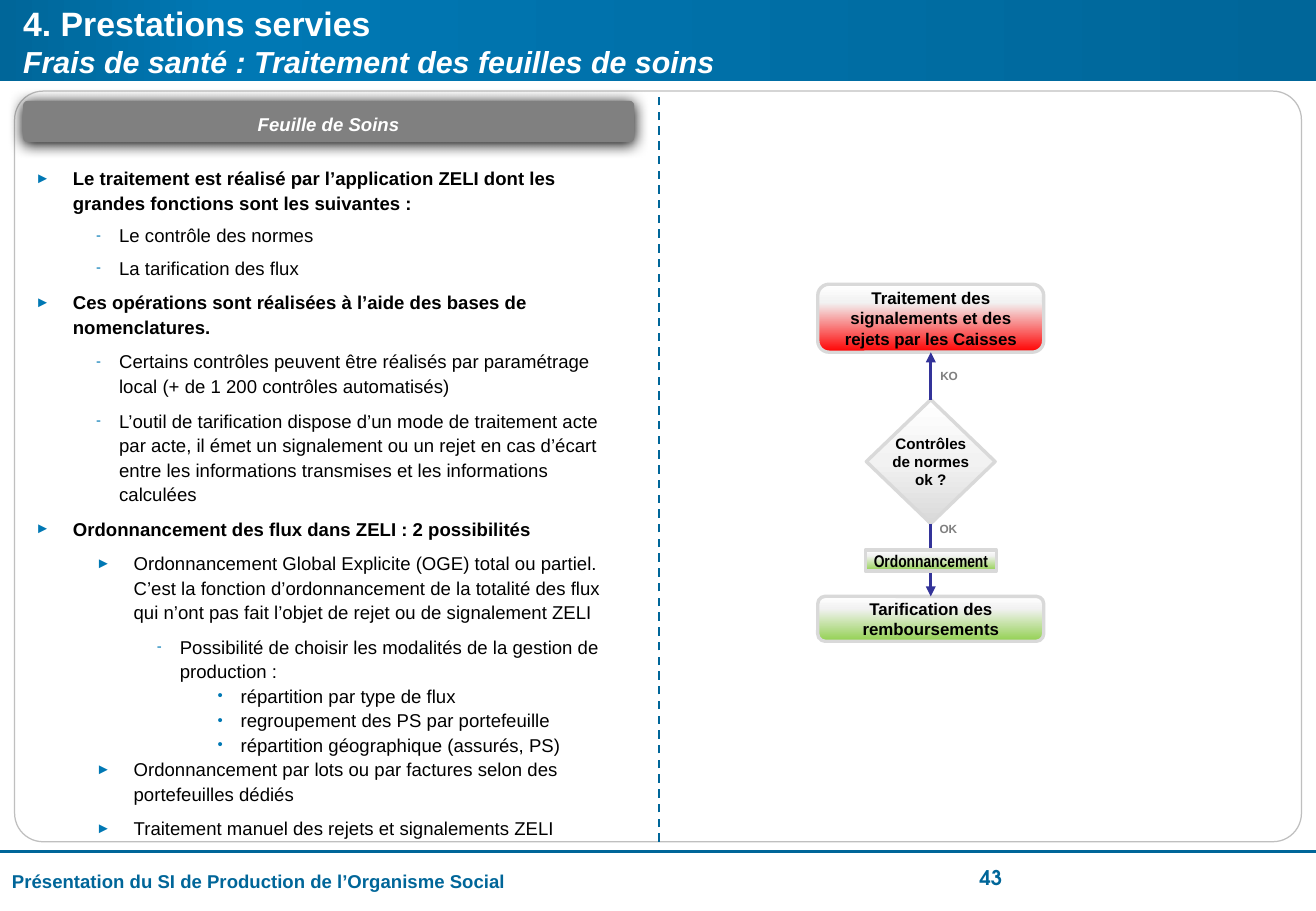
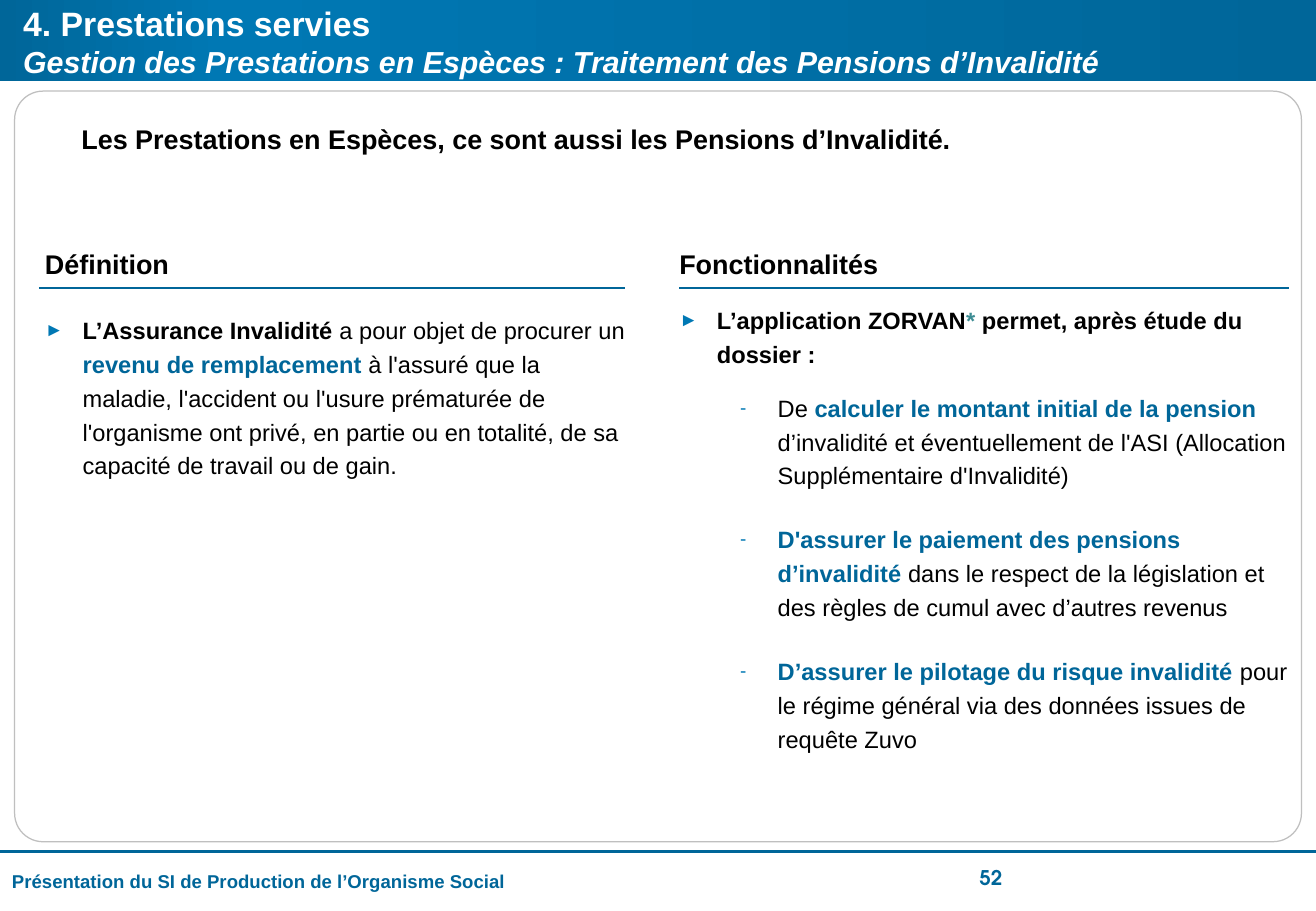
from lxml.etree import SubElement
from pptx import Presentation
from pptx.dml.color import RGBColor
from pptx.enum.dml import MSO_LINE
from pptx.enum.shapes import MSO_CONNECTOR, MSO_SHAPE
from pptx.enum.text import MSO_ANCHOR, MSO_AUTO_SIZE, PP_ALIGN
from pptx.oxml.ns import qn
from pptx.util import Emu, Pt

PX = 9144  # EMU per px, 100 px to the inch
WIDTH, HEIGHT = 1083, 750

BLUE = RGBColor(0x00, 0x66, 0x99)
BRIGHT_BLUE = RGBColor(0x00, 0x78, 0xB4)
ARROW_BLUE = RGBColor(0x33, 0x33, 0x99)
TEAL = RGBColor(0x3C, 0x8C, 0x93)
RED = RGBColor(0xFF, 0x00, 0x00)
GREEN = RGBColor(0x92, 0xD0, 0x50)
WHITE = RGBColor(0xFF, 0xFF, 0xFF)
PALE = RGBColor(0xF2, 0xF2, 0xF2)
SILVER = RGBColor(0xD9, 0xD9, 0xD9)
FRAME_GREY = RGBColor(0xBF, 0xBF, 0xBF)
GREY = RGBColor(0x80, 0x80, 0x80)
LABEL_GREY = RGBColor(0x7F, 0x7F, 0x7F)
BLACK = RGBColor(0x00, 0x00, 0x00)

BAND = [(0, BLUE), (17, BRIGHT_BLUE), (100, BLUE)]
NEUTRAL = [(0, WHITE), (50, PALE), (100, SILVER)]
REJECTED = [(0, WHITE), (27, PALE), (100, RED)]
ACCEPTED = [(0, WHITE), (27, PALE), (100, GREEN)]

FOOTER = "Présentation du SI de Production de l’Organisme Social"
SECTION = "4. Prestations servies"

# Run formats inside a paragraph
PLAIN = dict(bold=False)
KEY = dict(bold=True, color=BLUE)

# List formats
POINT = dict(bullet="►", margin=31, hang=31, bold=True, after=6, spacing=1.1)
DASH = dict(bullet="-", level=1, margin=69, hang=19, after=6, spacing=1.1)
TIGHT_DASH = DASH | dict(spacing=1.0)
SUBPOINT = dict(bullet="►", level=1, margin=81, hang=31, after=6, spacing=1.1)
SUBDASH = dict(bullet="-", level=2, margin=119, hang=19, spacing=1.1)
DOT = dict(bullet="•", level=3, margin=169, hang=19, spacing=1.1)
HEADING = dict(size=16, bold=True, level=2, spacing=Pt(20), before=6, after=12)
TOPIC = HEADING | dict(size=14, bullet="►", margin=31, hang=31)
FUNCTION = TOPIC | dict(bullet="-", level=3, margin=81)


def write(frame, text, *, size=11, color=BLACK, bold=False, italic=False,
          font="Arial", align=PP_ALIGN.LEFT, level=0, spacing=1.0, before=0,
          after=0, bullet=None, margin=0, hang=0):
    """Add one paragraph; text is a string or a list of (string, run format)."""
    paragraph = frame.paragraphs[0]
    if paragraph.runs:
        paragraph = frame.add_paragraph()
    paragraph.alignment, paragraph.level = align, level
    paragraph.line_spacing = spacing
    paragraph.space_before, paragraph.space_after = Pt(before), Pt(after)

    properties = paragraph._p.get_or_add_pPr()
    properties.set("marL", str(margin * PX))
    properties.set("indent", str(-hang * PX))
    if bullet:
        tint = SubElement(properties, qn("a:buClr"))
        SubElement(tint, qn("a:srgbClr"), val=str(BRIGHT_BLUE))
        SubElement(properties, qn("a:buSzPct"), val="80000")
        SubElement(properties, qn("a:buFont"), typeface="Arial")
        SubElement(properties, qn("a:buChar"), char=bullet)
    else:
        SubElement(properties, qn("a:buNone"))

    for words, extra in [(text, {})] if isinstance(text, str) else text:
        run = paragraph.add_run()
        run.text = words
        run.font.name, run.font.size = font, Pt(size)
        run.font.bold, run.font.italic = extra.get("bold", bold), italic
        run.font.color.rgb = extra.get("color", color)


def prepare(frame, insets=(10, 5, 10, 5), anchor=MSO_ANCHOR.TOP, wrap=True):
    frame.auto_size = MSO_AUTO_SIZE.NONE
    frame.word_wrap, frame.vertical_anchor = wrap, anchor
    (frame.margin_left, frame.margin_top,
     frame.margin_right, frame.margin_bottom) = [Emu(i * PX) for i in insets]
    return frame


class Deck:
    def __init__(self):
        self.file = Presentation()
        self.file.slide_width, self.file.slide_height = WIDTH * PX, HEIGHT * PX
        self.slide = None

    def new_slide(self, layout, subtitle, number):
        """Start a slide with the shared band, frame, footer and title."""
        self.slide = self.file.slides.add_slide(self.file.slide_layouts[layout])
        self.line((0, 701), (WIDTH, 701), width=1.5)
        page = self.text_box(785, 714, 61, 22, insets=(0, 0, 0, 0),
                             anchor=MSO_ANCHOR.MIDDLE)
        write(page, number, size=12, color=BLUE, bold=True, spacing=0.6,
              font="TeX Gyre Adventor", align=PP_ALIGN.CENTER)
        write(self.text_box(0, 711, 711, 29), FOOTER, color=BLUE, bold=True)
        self.shape(MSO_SHAPE.RECTANGLE, 0, 0, WIDTH, 67, BAND, angle=0)
        self.shape(MSO_SHAPE.ROUNDED_RECTANGLE, 12, 75, 1059, 618, WHITE,
                   outline=FRAME_GREY, weight=0.75, corner=0.038)
        title = self.placeholder(0, 9, 2, 1054, 64, anchor=MSO_ANCHOR.MIDDLE)
        write(title, SECTION, size=20, color=WHITE, bold=True)
        write(title, subtitle, size=18, color=WHITE, bold=True, italic=True)

    def placeholder(self, index, x, y, w, h, **layout):
        """Place a template placeholder in front of what is drawn so far."""
        holder = self.slide.placeholders[index]
        holder.left, holder.top, holder.width, holder.height = (
            Emu(v * PX) for v in (x, y, w, h))
        self.slide.shapes._spTree.append(holder._element)
        return prepare(holder.text_frame, **layout)

    def text_box(self, x, y, w, h, **layout):
        box = self.slide.shapes.add_textbox(*(Emu(v * PX) for v in (x, y, w, h)))
        return prepare(box.text_frame, **layout)

    def shape(self, kind, x, y, w, h, fill, outline=None, weight=2,
              corner=None, angle=270):
        shape = self.slide.shapes.add_shape(kind, *(Emu(v * PX) for v in (x, y, w, h)))
        shape.shadow.inherit = False
        if corner is not None:
            shape.adjustments[0] = corner
        if isinstance(fill, list):
            shape.fill.gradient()
            shape.fill.gradient_angle = angle
            stops = shape._element.spPr.find(".//" + qn("a:gsLst"))
            for old in list(stops):
                stops.remove(old)
            for position, color in fill:
                stop = SubElement(stops, qn("a:gs"), pos=str(position * 1000))
                SubElement(stop, qn("a:srgbClr"), val=str(color))
        else:
            shape.fill.solid()
            shape.fill.fore_color.rgb = fill
        if outline is None:
            shape.line.fill.background()
        else:
            shape.line.color.rgb, shape.line.width = outline, Pt(weight)
        return shape

    def step(self, x, y, w, h, fill, lines, kind=MSO_SHAPE.ROUNDED_RECTANGLE,
             corner=None, wrap=True, **text):
        """Add a flow chart step with centred bold text."""
        shape = self.shape(kind, x, y, w, h, fill, outline=SILVER, corner=corner)
        frame = prepare(shape.text_frame, (4, 0, 4, 0), MSO_ANCHOR.MIDDLE, wrap)
        for words in lines:
            write(frame, words, bold=True, align=PP_ALIGN.CENTER,
                  **dict(size=10) | text)
        return shape

    def label(self, x, y, w, h, text):
        write(self.text_box(x, y, w, h), text, size=7, color=LABEL_GREY,
              bold=True, align=PP_ALIGN.CENTER, after=6)

    def banner(self, x, y, w, h, text):
        shape = self.shape(MSO_SHAPE.ROUNDED_RECTANGLE, x, y, w, h, GREY,
                           corner=0.114)
        effects = shape._element.spPr.find(qn("a:effectLst"))
        shadow = SubElement(effects, qn("a:outerShdw"), blurRad=str(Pt(8.5)),
                            dist=str(Pt(1)), dir="5400000", rotWithShape="0")
        SubElement(shadow, qn("a:srgbClr"), val=str(BLACK))
        frame = prepare(shape.text_frame, (4, 4, 4, 4), MSO_ANCHOR.MIDDLE)
        write(frame, text, color=WHITE, bold=True, italic=True, level=2,
              align=PP_ALIGN.CENTER, spacing=Pt(16), before=6)

    def line(self, start, end, color=BLUE, width=1.25, dash=None, arrow=False):
        line = self.slide.shapes.add_connector(
            MSO_CONNECTOR.STRAIGHT, *(Emu(v * PX) for v in start + end))
        line.line.color.rgb, line.line.width = color, Pt(width)
        if dash:
            line.line.dash_style = dash
        properties = line._element.spPr
        if arrow:
            SubElement(properties.find(qn("a:ln")), qn("a:tailEnd"), type="triangle")
        SubElement(properties, qn("a:effectLst"))
        return line

    def flow(self, source, source_side, target, target_side):
        """Join two steps with an arrow."""
        arrow = self.line((0, 0), (0, 0), ARROW_BLUE, 1.75, arrow=True)
        arrow.begin_connect(source, source_side)
        arrow.end_connect(target, target_side)


def care_forms(deck):
    deck.new_slide(1, "Frais de santé : Traitement des feuilles de soins", "43")
    deck.line((542, 693), (542, 75), dash=MSO_LINE.DASH)
    deck.banner(19, 83, 503, 34, "Feuille de Soins")

    # Processing rules
    rules = deck.placeholder(1, 19, 131, 503, 593)
    for text, style in [
        ("Le traitement est réalisé par l’application ZELI dont les grandes "
         "fonctions sont les suivantes :", POINT),
        ("Le contrôle des normes", TIGHT_DASH),
        ("La tarification des flux", TIGHT_DASH),
        ("Ces opérations sont réalisées à l’aide des bases de nomenclatures.", POINT),
        ("Certains contrôles peuvent être réalisés par paramétrage local "
         "(+ de 1 200 contrôles automatisés)", DASH),
        ("L’outil de tarification dispose d’un mode de traitement acte par acte, "
         "il émet un signalement ou un rejet en cas d’écart entre les "
         "informations transmises et les informations calculées", DASH),
        ("Ordonnancement des flux dans ZELI : 2 possibilités", POINT),
        ("Ordonnancement Global Explicite (OGE) total ou partiel. C’est la "
         "fonction d’ordonnancement de la totalité des flux qui n’ont pas fait "
         "l’objet de rejet ou de signalement ZELI", SUBPOINT),
        ("Possibilité de choisir les modalités de la gestion de production :", SUBDASH),
        ("répartition par type de flux", DOT),
        ("regroupement des PS par portefeuille", DOT),
        ("répartition géographique (assurés, PS)", DOT),
        ("Ordonnancement par lots ou par factures selon des portefeuilles "
         "dédiés", SUBPOINT),
        ("Traitement manuel des rejets et signalements ZELI", SUBPOINT),
    ]:
        write(rules, text, **style)

    # Flow chart
    check = deck.step(713, 329, 106, 102, NEUTRAL,
                      ["Contrôles", "de normes", "ok ?"], size=9, wrap=False,
                      kind=MSO_SHAPE.FLOWCHART_DECISION)
    rejects = deck.step(673, 234, 186, 56, REJECTED,
                        ["Traitement des signalements et des rejets par les Caisses"])
    pricing = deck.step(673, 491, 186, 37, ACCEPTED,
                        ["Tarification des remboursements"])
    deck.flow(check, 0, rejects, 2)
    deck.flow(check, 2, pricing, 0)
    deck.label(762, 299, 38, 29, "KO")
    deck.label(753, 425, 55, 17, "OK")
    deck.step(712, 453, 108, 17, ACCEPTED, ["Ordonnancement"], corner=0,
              font="Arial Narrow")


def disability_pensions(deck):
    deck.new_slide(3, "Gestion des Prestations en Espèces : Traitement des "
                      "Pensions d’Invalidité", "52")
    intro = deck.text_box(67, 100, 1004, 26, insets=(0, 0, 8, 0))
    write(intro, "Les Prestations en Espèces, ce sont aussi les Pensions "
                 "d’Invalidité.", **HEADING)

    # Definition
    definition = deck.placeholder(1, 27, 198, 502, 204)
    write(definition, "Définition", **HEADING)
    write(definition, [
        ("L’Assurance Invalidité ", {}),
        ("a pour objet de procurer un ", PLAIN),
        ("revenu de remplacement ", KEY),
        ("à l'assuré que la maladie, l'accident ou l'usure prématurée de "
         "l'organisme ont privé, en partie ou en totalité, de sa capacité de "
         "travail ou de gain.", PLAIN)], **TOPIC)

    # Functions
    functions = deck.placeholder(2, 549, 198, 522, 445)
    write(functions, "Fonctionnalités", **HEADING)
    write(functions, [("L’application ZORVAN", {}), ("* ", dict(color=TEAL)),
                      ("permet, après étude du dossier :", {})],
          **TOPIC | dict(before=0))
    write(functions, [
        ("De ", PLAIN), ("calculer le montant initial de la pension ", KEY),
        ("d’invalidité et éventuellement de l'ASI (Allocation Supplémentaire "
         "d'Invalidité)", PLAIN)], **FUNCTION | dict(before=0))
    for key, rest in [
        ("D'assurer le paiement des pensions d’invalidité ",
         "dans le respect de la législation et des règles de cumul avec "
         "d’autres revenus"),
        ("D’assurer le pilotage du risque invalidité ",
         "pour le régime général via des données issues de requête Zuvo"),
    ]:
        write(functions, [(key, KEY), (rest, PLAIN)], **FUNCTION)

    # Heading rules
    for left, right in [(559, 1061), (32, 514)]:
        deck.line((left, 237), (right, 237))


def main():
    deck = Deck()
    care_forms(deck)
    disability_pensions(deck)
    deck.file.save("out.pptx")


if __name__ == "__main__":
    main()
